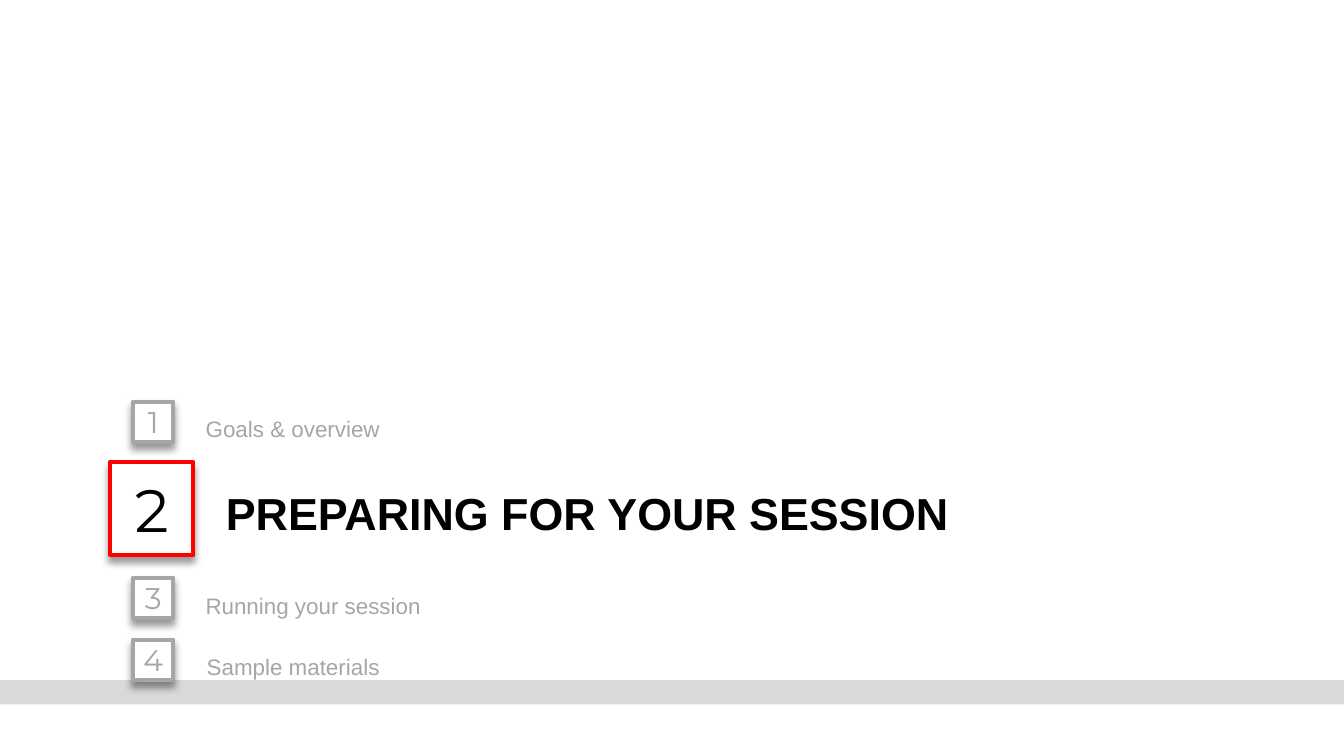
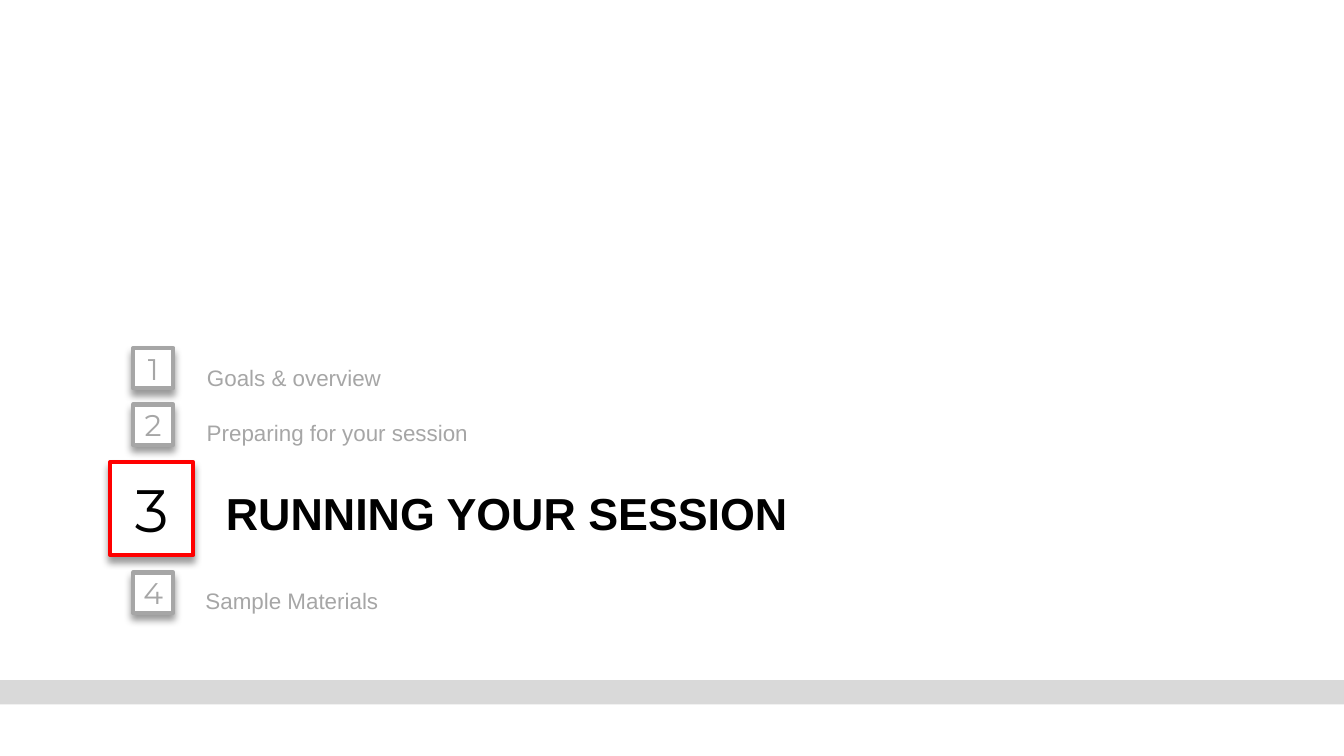
from lxml.etree import SubElement
from pptx import Presentation
from pptx.dml.color import RGBColor
from pptx.enum.shapes import MSO_SHAPE as Shape
from pptx.enum.text import MSO_ANCHOR as Anchor, MSO_AUTO_SIZE as AutoSize, PP_ALIGN as Align
from pptx.oxml.ns import qn
from pptx.util import Pt

BLACK = RGBColor(0x00, 0x00, 0x00)
WHITE = RGBColor(0xFF, 0xFF, 0xFF)
RED = RGBColor(0xFF, 0x00, 0x00)
GREY = RGBColor(0xA6, 0xA6, 0xA6)
BAND_GREY = RGBColor(0xD9, 0xD9, 0xD9)

TEXT_FONT, NUMBER_FONT = "Arial", "Montserrat"
WIDTH, HEIGHT = 720, 405


class AgendaDeck:
    """Holds the shared style, the deck and the current slide."""

    def __init__(self):
        self.deck = Presentation()
        self.deck.slide_width, self.deck.slide_height = Pt(WIDTH), Pt(HEIGHT)
        self.page = None

    def new_page(self):
        self.page = self.deck.slides.add_slide(self.deck.slide_layouts[6])
        self.rectangle(0, 364.3, WIDTH, 13, BAND_GREY)

    def rectangle(self, left, top, width, height, fill):
        box = self.page.shapes.add_shape(
            Shape.RECTANGLE, Pt(left), Pt(top), Pt(width), Pt(height))
        box.shadow.inherit = False
        box.fill.solid()
        box.fill.fore_color.rgb = fill
        box.line.fill.background()
        return box

    def text_box(self, left, top, width, height):
        return self.page.shapes.add_textbox(Pt(left), Pt(top), Pt(width), Pt(height))

    def set_text(self, box, text, font, size, color, bold=False):
        box.text_frame.text = text
        para = box.text_frame.paragraphs[0]
        for span in para.runs:
            span.font.name, span.font.size = font, Pt(size)
            span.font.bold, span.font.color.rgb = bold, color
        return para

    def no_margins(self, box):
        frame = box.text_frame
        frame.margin_left = frame.margin_right = frame.margin_top = frame.margin_bottom = 0
        frame.word_wrap = True

    def drop_shadow(self, box):
        effects = box._element.spPr.find(qn("a:effectLst"))
        shadow = SubElement(effects, qn("a:outerShdw"), blurRad=str(Pt(4)),
                            dist=str(Pt(3)), dir="5400000", rotWithShape="0")
        color = SubElement(shadow, qn("a:srgbClr"), val=str(BLACK))
        SubElement(color, qn("a:alpha"), val="40000")

    def badge(self, number, left, top, width, height, size, edge, color):
        box = self.rectangle(left, top, width, height, WHITE)
        box.line.color.rgb, box.line.width = edge, Pt(2.25)
        self.drop_shadow(box)
        self.no_margins(box)
        box.text_frame.vertical_anchor = Anchor.MIDDLE
        self.set_text(box, str(number), NUMBER_FONT, size, color).alignment = Align.CENTER

    def small_badge(self, number, top):
        self.badge(number, 71.3, top, 21.6, 21.6, 16, GREY, GREY)

    def current_section(self, number, title):
        box = self.text_box(121, 260, 548, 80.6)
        self.no_margins(box)
        self.set_text(box, title, TEXT_FONT, 24, BLACK, bold=True)
        self.badge(number, 59, 247.7, 44.6, 49.7, 32, RED, BLACK)

    def label(self, text, left, top, width, height, fitted):
        box = self.text_box(left, top, width, height)
        frame = box.text_frame
        if fitted:
            frame.word_wrap, frame.auto_size = False, AutoSize.SHAPE_TO_FIT_TEXT
        else:
            self.no_margins(box)
            frame.vertical_anchor = Anchor.BOTTOM
        para = self.set_text(box, text, TEXT_FONT, 12, GREY)
        para.line_spacing = 2.0
        # Hanging indent
        props = para._p.get_or_add_pPr()
        props.set("marL", str(Pt(36)))
        props.set("indent", str(Pt(-36)))


# Current section, then each other section: number, badge top, label, label place, fitted
AGENDAS = [
    (2, "PREPARING FOR YOUR SESSION", [
        (1, 215.3, "Goals & overview", (110.2, 208.8, 309.6, 28), False),
        (3, 309.6, "Running your session", (103, 299.5, 130.3, 31.7), True),
        (4, 342.7, "Sample materials", (103.7, 331.9, 108, 31.7), True),
    ]),
    (3, "RUNNING YOUR SESSION", [
        (1, 186.5, "Goals & overview", (110.9, 181.4, 309.6, 28), False),
        (2, 216.7, "Preparing for your session", (103.7, 206.6, 155.5, 36), True),
        (4, 306.7, "Sample Materials", (103, 296.6, 108, 31.7), True),
    ]),
]


def main():
    agenda = AgendaDeck()
    for current, title, others in AGENDAS:
        agenda.new_page()
        for number, top, text, place, fitted in others:
            agenda.small_badge(number, top)
            agenda.label(text, *place, fitted)
        agenda.current_section(current, title)
    agenda.deck.save("out.pptx")


if __name__ == "__main__":
    main()
